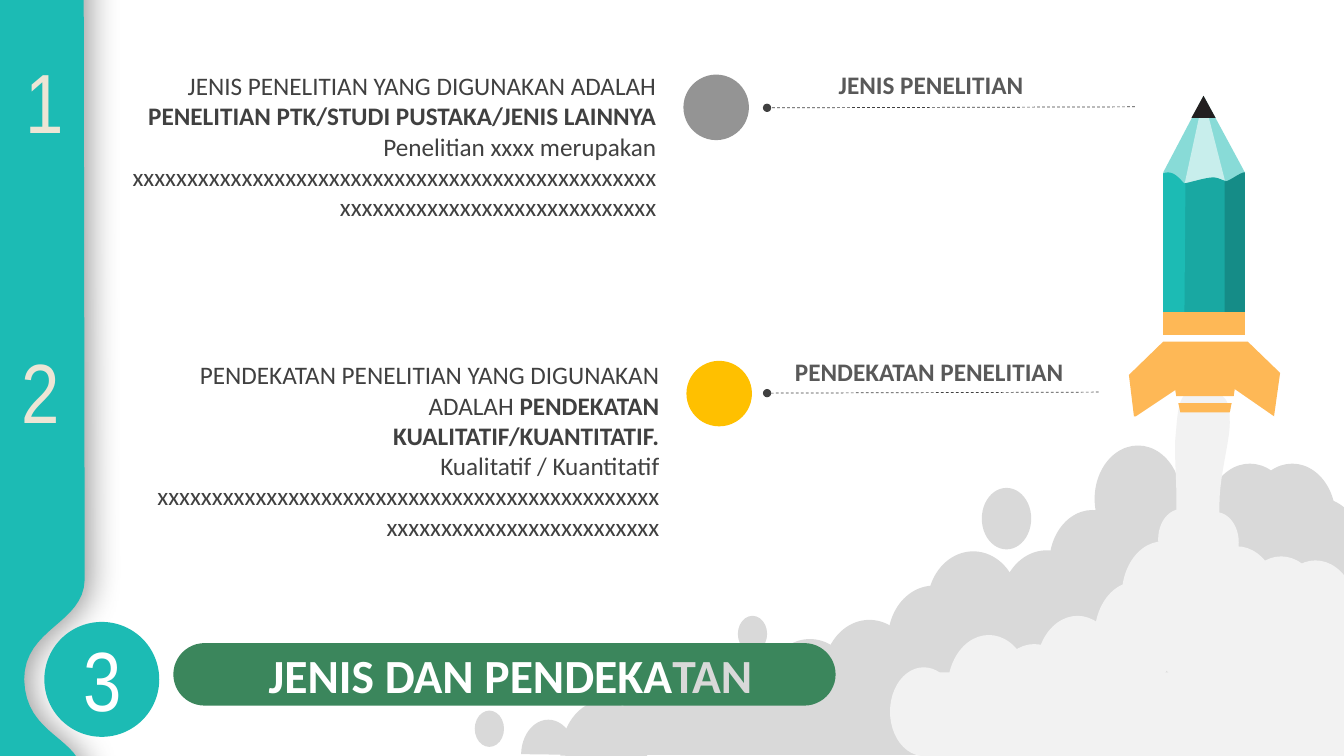
"""Build the slide on research type and approach, with a pencil rocket."""
from dataclasses import dataclass

from lxml import etree
from pptx import Presentation
from pptx.dml.color import RGBColor
from pptx.enum.dml import MSO_LINE
from pptx.enum.shapes import MSO_CONNECTOR, MSO_SHAPE
from pptx.enum.text import MSO_ANCHOR, MSO_AUTO_SIZE, PP_ALIGN
from pptx.oxml.ns import qn
from pptx.shapes.autoshape import Shape
from pptx.slide import Slide
from pptx.util import Emu, Pt

PX = 9144
CURVE_STEPS = 16
OVAL, RECT, CHORD, PILL = MSO_SHAPE.OVAL, MSO_SHAPE.RECTANGLE, MSO_SHAPE.CHORD, MSO_SHAPE.ROUNDED_RECTANGLE
LEFT, RIGHT, CENTER = PP_ALIGN.LEFT, PP_ALIGN.RIGHT, PP_ALIGN.CENTER
STRAIGHT, DASH, MIDDLE = MSO_CONNECTOR.STRAIGHT, MSO_LINE.DASH, MSO_ANCHOR.MIDDLE
FIT_SHAPE = MSO_AUTO_SIZE.SHAPE_TO_FIT_TEXT

TEAL = RGBColor(0x1C, 0xBB, 0xB4)
MID_TEAL = RGBColor(0x19, 0xA8, 0xA2)
DARK_TEAL = RGBColor(0x15, 0x8C, 0x87)
GREEN = RGBColor(0x3B, 0x86, 0x5C)
ORANGE = RGBColor(0xFE, 0xB8, 0x56)
YELLOW = RGBColor(0xFF, 0xC0, 0x00)
GREY = RGBColor(0x94, 0x94, 0x94)
SMOKE = RGBColor(0xD9, 0xD9, 0xD9)
LIGHT_SMOKE = RGBColor(0xF2, 0xF2, 0xF2)
LEAD = RGBColor(0x23, 0x1F, 0x20)
INK = RGBColor(0x40, 0x40, 0x40)
LABEL = RGBColor(0x59, 0x59, 0x59)
CREAM = RGBColor(0xED, 0xE5, 0xD5)
WHITE = RGBColor(0xFF, 0xFF, 0xFF)

Box = tuple[int, int, int, int]
Runs = tuple[tuple[str, bool], ...]


@dataclass(frozen=True)
class Puffs:
    width: int
    height: int
    color: RGBColor
    corners: tuple[tuple[int, int], ...]
    kind: MSO_SHAPE = OVAL


@dataclass(frozen=True)
class Outline:
    """Points of two numbers are corners, points of six are cubic curves."""
    color: RGBColor
    points: tuple[tuple[int, ...], ...]
    opacity: int = 100


@dataclass(frozen=True)
class Topic:
    dot: Box
    dot_color: RGBColor
    line: Box
    label_box: Box
    label: str
    body_box: Box
    body: tuple[Runs, ...]


PUFFS = (
    Puffs(86, 106, SMOKE, ((1266, 494), (1239, 460), (1197, 460), (1147, 477), (1086, 442), (1086, 514),
                           (1238, 495), (1041, 506))),
    Puffs(91, 106, SMOKE, ((920, 547), (881, 581), (993, 546), (1045, 563), (817, 615), (758, 634),
                           (1110, 528), (1110, 600), (950, 581), (731, 643), (666, 643))),
    Puffs(49, 61, SMOKE, ((974, 484),)),
    Puffs(29, 36, SMOKE, ((732, 611), (471, 705))),
    Puffs(56, 75, SMOKE, ((618, 669),)),
    Puffs(86, 112, SMOKE, ((556, 695),), CHORD),
    Puffs(54, 70, SMOKE, ((517, 714),), CHORD),
    Puffs(336, 102, SMOKE, ((1016, 557),), RECT),
    Puffs(551, 64, SMOKE, ((636, 685),), RECT),
    Puffs(82, 106, LIGHT_SMOKE, ((1113, 537), (1086, 577), (1186, 542), (1230, 552), (1028, 611), (985, 639),
                                 (1264, 556), (1271, 605), (1147, 577), (940, 630), (1206, 600))),
    Puffs(67, 88, LIGHT_SMOKE, ((883, 662),)),
    Puffs(46, 60, LIGHT_SMOKE, ((1183, 508), (1149, 505))),
    Puffs(439, 83, LIGHT_SMOKE, ((913, 667),), RECT),
)
PLUME = Outline(LIGHT_SMOKE, (
    (1175, 392), (1168, 400, 1168, 416, 1166, 436), (1165, 456, 1168, 482, 1167, 512),
    (1167, 542, 1160, 597, 1162, 617), (1164, 636, 1171, 624, 1180, 626), (1189, 628, 1209, 633, 1217, 628),
    (1225, 623, 1227, 602, 1227, 597), (1226, 592, 1216, 617, 1214, 600), (1211, 583, 1209, 524, 1210, 493),
    (1212, 462, 1221, 434, 1220, 416), (1220, 399, 1216, 394, 1208, 390), (1201, 386, 1182, 384, 1175, 392)))
SIDEBAR = Outline(TEAL, ((83, -40), (84, 575), (83, 619, 24, 623, 24, 674), (25, 731, 82, 731, 82, 771),
                         (82, 790), (-18, 790), (-18, -40)))
PENCIL = (
    Outline(ORANGE, ((1169, 400), (1222, 400), (1221, 403, 1221, 406, 1220, 409), (1171, 409))),
    Outline(ORANGE, ((1154, 339), (1238, 339), (1270, 370), (1264, 413), (1225, 386), (1224, 393), (1167, 393),
                     (1166, 387), (1127, 413), (1125, 413), (1120, 372))),
    Outline(TEAL, ((1154, 171), (1194, 95), (1235, 171), (1208, 216, 1181, 214, 1154, 171)), 52),
    Outline(WHITE, ((1174, 188), (1194, 96), (1217, 186), (1203, 195, 1190, 193, 1174, 188)), 54),
    Outline(MID_TEAL, ((1170, 317), (1170, 183), (1186, 180, 1192, 177, 1203, 176),
                       (1210, 176, 1213, 180, 1220, 180), (1219, 317))),
    Outline(TEAL, ((1154, 317), (1154, 172), (1165, 168, 1171, 179, 1176, 183), (1175, 317))),
    Outline(DARK_TEAL, ((1215, 317), (1215, 180), (1220, 180, 1230, 171, 1235, 171), (1235, 317))),
    Outline(ORANGE, ((1154, 310), (1235, 310), (1235, 332), (1154, 332))),
    Outline(LEAD, ((1182, 117), (1194, 95), (1206, 117))),
)
TOPICS = (
    Topic((678, 74, 65, 65), GREY, (1126, 106, 761, 107), (477, 64, 548, 40), "JENIS PENELITIAN", (113, 65, 548, 162),
          ((("JENIS PENELITIAN YANG DIGUNAKAN ADALAH ", False), ("PENELITIAN PTK/STUDI PUSTAKA/JENIS LAINNYA", True)),
           (("Penelitian xxxx merupakan " + "x" * 77, False),))),
    Topic((681, 358, 65, 65), YELLOW, (1090, 389, 761, 390), (547, 349, 518, 40), "PENDEKATAN PENELITIAN",
          (146, 352, 518, 162),
          ((("PENDEKATAN PENELITIAN YANG DIGUNAKAN ADALAH ", False), ("PENDEKATAN KUALITATIF/KUANTITATIF.", True)),
           (("Kualitatif / Kuantitatif " + "x" * 71, False),))),
)
NUMERALS = (("3", 73, 618, WHITE), ("1", 15, 44, CREAM), ("2", 12, 332, CREAM))


def px(*values: float) -> list[Emu]:
    return [Emu(round(v * PX)) for v in values]


def paint(sp: Shape, color: RGBColor) -> Shape:
    sp.shadow.inherit = False
    sp.fill.solid()
    sp.fill.fore_color.rgb = color
    sp.line.fill.background()
    return sp


def add_preset(s: Slide, kind: MSO_SHAPE, box: Box, color: RGBColor) -> Shape:
    sp = paint(s.shapes.add_shape(kind, *px(*box)), color)
    if kind == CHORD:
        sp.adjustments[0], sp.adjustments[1] = 109.05, 215.85
    return sp


def flatten(points: tuple[tuple[int, ...], ...]) -> list[tuple[float, ...]]:
    flat = [points[0]]
    for point in points[1:]:
        controls = (*flat[-1], *point)
        steps = CURVE_STEPS if len(point) == 6 else 0
        for t in (i / steps for i in range(1, steps + 1)):
            weights = ((1 - t) ** 3, 3 * t * (1 - t) ** 2, 3 * t * t * (1 - t), t ** 3)
            flat.append(tuple(sum(w * c for w, c in zip(weights, controls[axis::2])) for axis in (0, 1)))
        if not steps:
            flat.append(point)
    return flat


def add_outline(s: Slide, outline: Outline) -> Shape:
    start, *rest = [px(*point) for point in flatten(outline.points)]
    builder = s.shapes.build_freeform(*start)
    builder.add_line_segments(rest, close=True)
    sp = paint(builder.convert_to_shape(), outline.color)
    if outline.opacity < 100:
        color = sp.element.spPr.find(f"{qn('a:solidFill')}/{qn('a:srgbClr')}")
        etree.SubElement(color, qn("a:alpha"), val=str(outline.opacity * 1000))
    return sp


def add_text(s: Slide, box: Box, paragraphs: tuple[Runs, ...], size: int, color: RGBColor,
             font: str = "Calibri", align: PP_ALIGN = RIGHT, wrap: bool = True) -> None:
    tf = s.shapes.add_textbox(*px(*box)).text_frame
    tf.word_wrap, tf.auto_size = wrap, FIT_SHAPE
    for i, runs in enumerate(paragraphs):
        p = tf.add_paragraph() if i else tf.paragraphs[0]
        p.alignment = align
        for text, bold in runs:
            r = p.add_run()
            r.text = text
            r.font.name, r.font.size, r.font.bold, r.font.color.rgb = font, Pt(size), bold, color


def add_topic(s: Slide, topic: Topic) -> None:
    rule = s.shapes.add_connector(STRAIGHT, *px(*topic.line))
    rule.line.color.rgb, rule.line.width, rule.line.dash_style = INK, Pt(0.5), DASH
    etree.SubElement(rule.element.spPr.find(qn("a:ln")), qn("a:tailEnd"), type="oval")
    etree.SubElement(rule.element.spPr, qn("a:effectLst"))
    add_preset(s, OVAL, topic.dot, topic.dot_color)
    add_text(s, topic.label_box, (((topic.label, True),),), 18, LABEL)
    add_text(s, topic.body_box, topic.body, 18, INK)


def add_title(s: Slide) -> None:
    pill = add_preset(s, PILL, (172, 638, 657, 62), GREEN)
    pill.adjustments[0] = 0.5
    title = s.shapes.title
    pill.element.addnext(title.element)
    title.left, title.top, title.width, title.height = px(178, 638, 657, 62)
    title.text_frame.vertical_anchor = MIDDLE
    p = title.text_frame.paragraphs[0]
    p.alignment = CENTER
    for text, color in (("JENIS DAN PENDEKA", WHITE), ("TAN", SMOKE)):
        r = p.add_run()
        r.text = text
        r.font.name, r.font.size, r.font.bold, r.font.color.rgb = "Calibri", Pt(34), True, color


def add_sidebar(s: Slide) -> None:
    effects = add_outline(s, SIDEBAR).element.spPr.find(qn("a:effectLst"))
    shadow = etree.SubElement(effects, qn("a:outerShdw"), blurRad=str(Pt(23)), dist=str(Pt(3)), dir="0", algn="l")
    color = etree.SubElement(shadow, qn("a:srgbClr"), val="000000")
    etree.SubElement(color, qn("a:alpha"), val="40000")
    add_preset(s, OVAL, (44, 617, 114, 114), TEAL)
    for text, x, y, ink in NUMERALS:
        add_text(s, (x, y, 66, 111), (((text, False),),), 60, ink, "Arial Narrow", LEFT, wrap=False)


def main() -> None:
    prs = Presentation()
    prs.slide_width, prs.slide_height = px(1333.33, 750)
    s = prs.slides.add_slide(prs.slide_layouts[5])
    for puffs in PUFFS:
        for corner in puffs.corners:
            add_preset(s, puffs.kind, (*corner, puffs.width, puffs.height), puffs.color)
    add_outline(s, PLUME)
    for topic in TOPICS:
        add_topic(s, topic)
    add_title(s)
    add_sidebar(s)
    for outline in PENCIL:
        add_outline(s, outline)
    prs.save("out.pptx")


if __name__ == "__main__":
    main()
